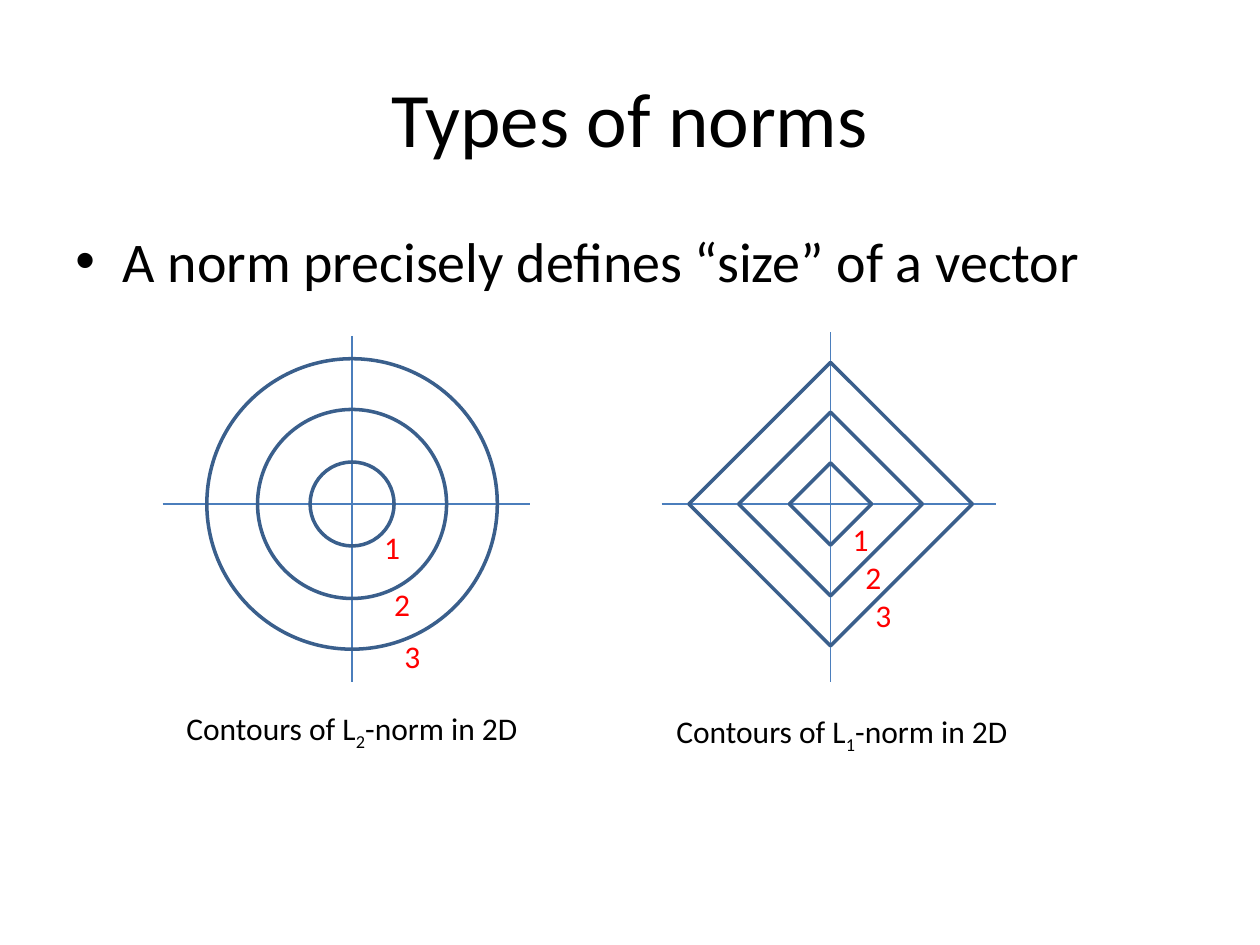
"""Build a slide comparing the contours of the L2 and L1 norms."""
from dataclasses import dataclass
from typing import Any

import pptx
import pptx.dml.color
import pptx.enum.shapes
import pptx.enum.text
import pptx.oxml.ns
import pptx.util
from lxml import etree

Pt = pptx.util.Pt
SHAPE = pptx.enum.shapes.MSO_SHAPE
FONT = "Calibri"
BLACK, RED, AXIS, CONTOUR = "000000", "FF0000", "4B7EBC", "3A5F8C"
BODY_INDENT = 27


@dataclass
class Plot:
    """One family of contours; lengths are in points."""
    shape: Any
    cx: float
    cy: float
    radii: list[float]
    x_axis: tuple[float, float]
    y_axis: tuple[float, float]
    labels: list[tuple[float, float]]
    order: str
    caption: tuple[float, float, float]


PLOTS = [
    Plot(SHAPE.OVAL, 201.2, 288, [24, 54, 83], (93, 303), (192, 390),
         [(212.4, 298), (218.2, 330.5), (224, 360.7)], "2", (99.4, 401.8, 206.6)),
    Plot(SHAPE.FLOWCHART_DECISION, 474.6, 288, [23.5, 52.5, 81], (378, 569), (190, 390),
         [(480.2, 293.8), (487.4, 315.4), (493.2, 337)], "1", (379.4, 403.2, 213)),
]


def rgb(color: str) -> pptx.dml.color.RGBColor:
    """Turn a hex string into a colour."""
    return pptx.dml.color.RGBColor.from_string(color)


def style(p: Any, size: float, color: str) -> None:
    """Format every run of a paragraph."""
    for r in p.runs:
        r.font.name = FONT
        r.font.size = Pt(size)
        r.font.color.rgb = rgb(color)


def add_text(shapes: Any, x: float, y: float, w: float, h: float, text: str,
             size: float = 18, color: str = BLACK, wrap: bool = False) -> Any:
    """Add a text box and return its paragraph."""
    tf = shapes.add_textbox(Pt(x), Pt(y), Pt(w), Pt(h)).text_frame
    tf.word_wrap = wrap
    tf.text = text
    p = tf.paragraphs[0]
    style(p, size, color)
    return p


def add_bullet(p: Any) -> None:
    """Give a paragraph a hanging bullet."""
    pPr = p._p.get_or_add_pPr()
    pPr.set("marL", str(Pt(BODY_INDENT)))
    pPr.set("indent", str(-Pt(BODY_INDENT)))
    etree.SubElement(pPr, pptx.oxml.ns.qn("a:buFont"), typeface="Arial")
    etree.SubElement(pPr, pptx.oxml.ns.qn("a:buChar"), char="•")


def add_axis(shapes: Any, x1: float, y1: float, x2: float, y2: float) -> None:
    """Draw a thin axis line."""
    line = shapes.add_connector(pptx.enum.shapes.MSO_CONNECTOR.STRAIGHT,
                                Pt(x1), Pt(y1), Pt(x2), Pt(y2))
    line.line.color.rgb = rgb(AXIS)
    line.line.width = Pt(0.75)
    etree.SubElement(line._element.spPr, pptx.oxml.ns.qn("a:effectLst"))


def add_contour(shapes: Any, plot: Plot, radius: float) -> None:
    """Draw one unfilled contour around the plot's centre."""
    sp = shapes.add_shape(plot.shape, Pt(plot.cx - radius), Pt(plot.cy - radius),
                          Pt(2 * radius), Pt(2 * radius))
    sp.shadow.inherit = False
    sp.fill.background()
    sp.line.color.rgb = rgb(CONTOUR)
    sp.line.width = Pt(2)


def add_caption(shapes: Any, plot: Plot) -> None:
    """Write the caption with the norm's order as a subscript."""
    x, y, w = plot.caption
    p = add_text(shapes, x, y, w, 29, "Contours of L")
    for text in (plot.order, "-norm in 2D"):
        p.add_run().text = text
    style(p, 18, BLACK)
    p.runs[1].font._element.set("baseline", "-25000")


def add_plot(s: Any, plot: Plot) -> None:
    """Draw axes, contours and labels as a group, then the caption."""
    shapes = s.shapes.add_group_shape().shapes
    add_axis(shapes, plot.x_axis[0], plot.cy, plot.x_axis[1], plot.cy)
    add_axis(shapes, plot.cx, plot.y_axis[0], plot.cx, plot.y_axis[1])
    for radius in plot.radii:
        add_contour(shapes, plot, radius)
    for level, (x, y) in enumerate(plot.labels, 1):
        add_text(shapes, x, y, 23.7, 29, str(level), color=RED)
    add_caption(s.shapes, plot)


def main() -> None:
    """Build and save the slide."""
    prs = pptx.Presentation()
    prs.slide_width, prs.slide_height = Pt(720), Pt(540)
    s = prs.slides.add_slide(prs.slide_layouts[5])
    title = s.shapes.title
    title.left, title.top, title.width, title.height = Pt(36), Pt(21.6), Pt(648), Pt(90)
    tf = title.text_frame
    tf.text = "Types of norms"
    tf.vertical_anchor = pptx.enum.text.MSO_ANCHOR.MIDDLE
    tf.paragraphs[0].alignment = pptx.enum.text.PP_ALIGN.CENTER
    style(tf.paragraphs[0], 44, BLACK)
    add_bullet(add_text(s.shapes, 36, 126, 648, 356.4,
                        "A norm precisely defines “size” of a vector", 32, wrap=True))
    for plot in PLOTS:
        add_plot(s, plot)
    prs.save("out.pptx")


if __name__ == "__main__":
    main()
